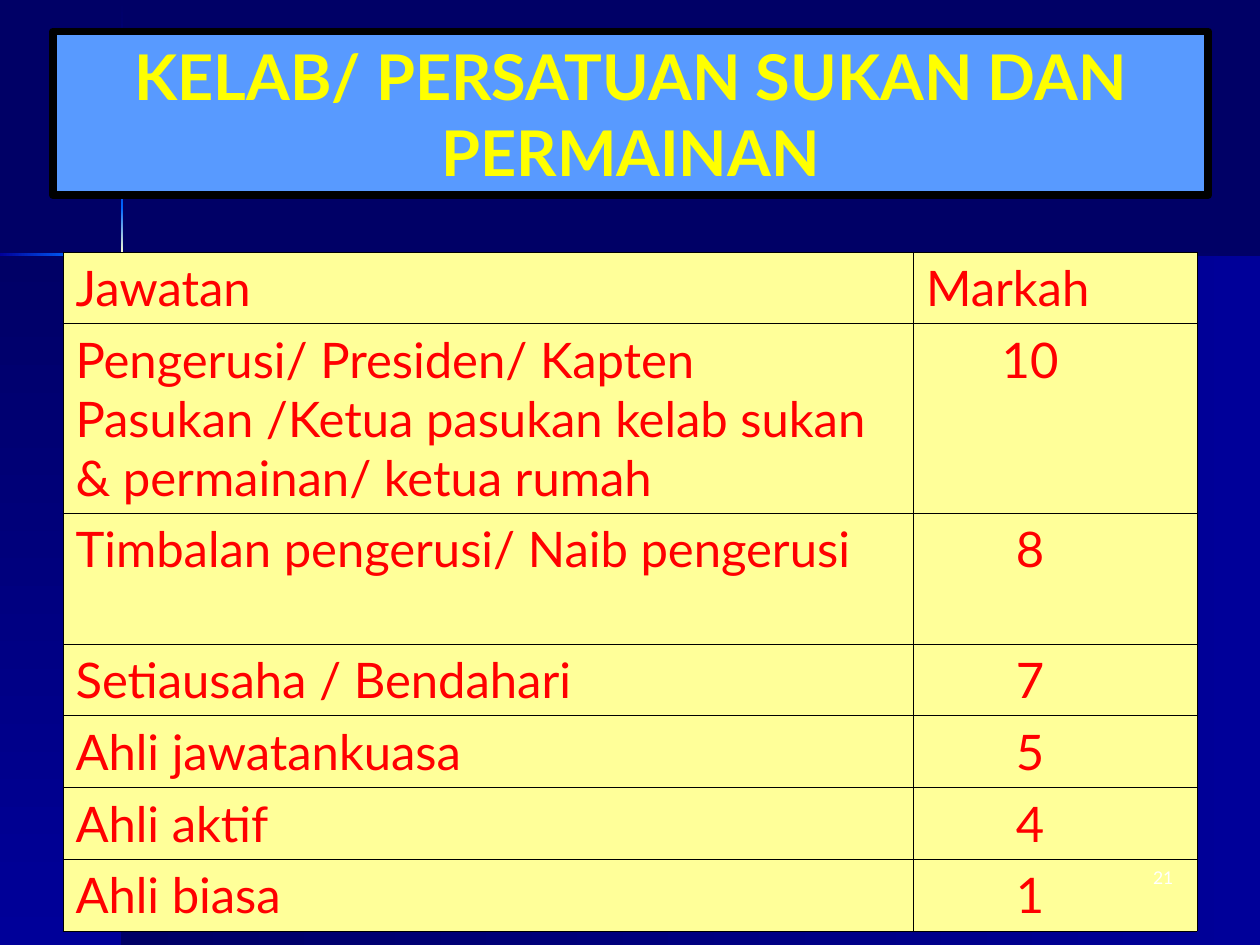
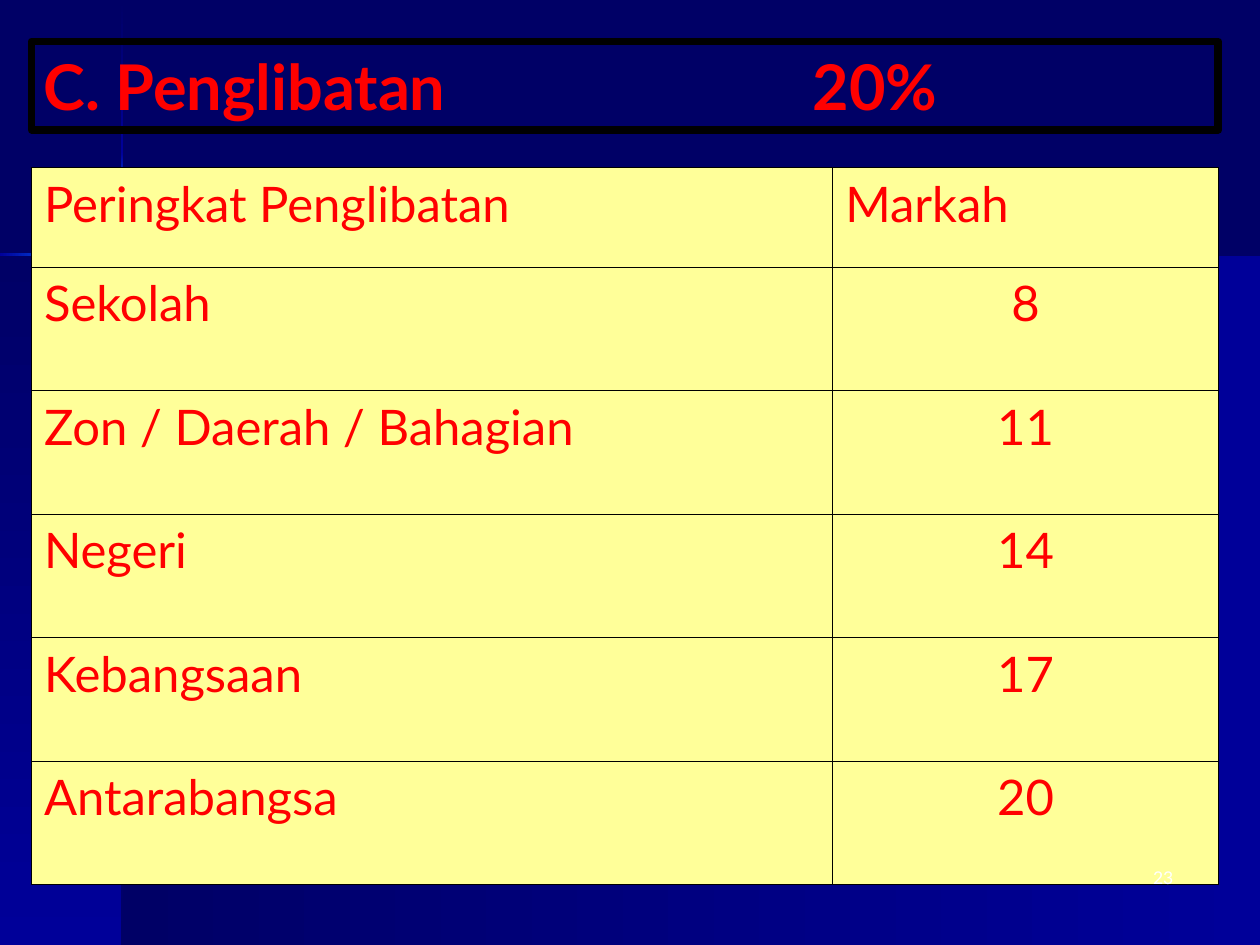
from lxml.etree import SubElement
from pptx import Presentation
from pptx.dml.color import RGBColor
from pptx.enum.shapes import MSO_SHAPE
from pptx.enum.text import MSO_ANCHOR, PP_ALIGN
from pptx.oxml.ns import qn
from pptx.util import Inches, Pt

COLORS = {
    "night": "000066", "navy": "000099", "azure": "0066FF", "glow": "FFFFCC",
    "banner": "589AFF", "yellow": "FFFF00", "red": "FF0000",
    "cell": "FFFF99", "black": "000000", "white": "FFFFFF",
}
FONT = "Lato"
WIDTH, HEIGHT = 10, 7.5
CROSS_X, CROSS_Y, BEAM = 0.96, 2.01, 0.02

# Each beam is a chain of stretches: end position and gradient colours.
VERTICAL_BEAM = [
    (1.21, ("night", "navy")), (1.65, ("navy", "azure")),
    (2.38, ("azure", "glow", "azure")), (2.82, ("azure", "navy")),
    (HEIGHT, ("navy", "night")),
]
HORIZONTAL_BEAM = [
    (0.6, ("navy", "azure")), (1.33, ("azure", "glow", "azure")),
    (1.77, ("azure", "navy")), (WIDTH, ("navy", "night")),
]

POSITION_MARKS = [
    ("Jawatan", "Markah"),
    ("Pengerusi/ Presiden/ Kapten Pasukan /Ketua pasukan kelab sukan "
     "& permainan/ ketua rumah", "10"),
    ("Timbalan pengerusi/ Naib pengerusi", "8"),
    ("Setiausaha / Bendahari", "7"),
    ("Ahli jawatankuasa", "5"),
    ("Ahli aktif", "4"),
    ("Ahli biasa", "1"),
]
LEVEL_MARKS = [
    ("Peringkat Penglibatan", "Markah"),
    ("Sekolah", "8"),
    ("Zon / Daerah / Bahagian", "11"),
    ("Negeri", "14"),
    ("Kebangsaan", "17"),
    ("Antarabangsa", "20"),
]


def color(name):
    return RGBColor.from_string(COLORS[name])


def style_text(para, size, color_name, align=PP_ALIGN.LEFT, bold=False):
    para.alignment = align
    para.font.name = FONT
    para.font.size = Pt(size)
    para.font.bold = bold
    para.font.color.rgb = color(color_name)


def add_rectangle(page, box):
    shape = page.shapes.add_shape(MSO_SHAPE.RECTANGLE, *map(Inches, box))
    shape.shadow.inherit = False
    return shape


def add_gradient(page, box, names, downward):
    """Draw an unlined rectangle shaded evenly through the named colours."""
    shape = add_rectangle(page, box)
    shape.line.fill.background()
    shape.fill.gradient()
    stops = shape.element.spPr.find(".//" + qn("a:gsLst"))
    stops.clear()
    for index, name in enumerate(names):
        position = 100000 * index // (len(names) - 1)
        stop = SubElement(stops, qn("a:gs"), pos=str(position))
        SubElement(stop, qn("a:srgbClr"), val=COLORS[name])
    shape.fill.gradient_angle = 270 if downward else 0


def add_backdrop(page):
    page.background.fill.solid()
    page.background.fill.fore_color.rgb = color("night")
    split, top = CROSS_X + BEAM / 2, CROSS_Y + BEAM / 2
    shades = ("night", "navy")
    add_gradient(page, (split, top, WIDTH - split, HEIGHT - top), shades, False)
    add_gradient(page, (0, top, split, HEIGHT - top), shades, True)
    for beam, downward in ((VERTICAL_BEAM, True), (HORIZONTAL_BEAM, False)):
        start = 0
        for end, names in beam:
            if downward:
                box = (CROSS_X, start, BEAM, end - start)
            else:
                box = (start, CROSS_Y, end - start, BEAM)
            add_gradient(page, box, names, downward)
            start = end


def add_title(page, box, text, color_name, align, fill=None, tab=None):
    shape = add_rectangle(page, box)
    shape.line.color.rgb = color("black")
    shape.line.width = Pt(4.5)
    if fill:
        shape.fill.solid()
        shape.fill.fore_color.rgb = color(fill)
    else:
        shape.fill.background()
    frame = shape.text_frame
    frame.word_wrap = True
    frame.vertical_anchor = MSO_ANCHOR.MIDDLE
    para = frame.paragraphs[0]
    para.text = text
    if tab:
        tabs = SubElement(para._p.get_or_add_pPr(), qn("a:tabLst"))
        SubElement(tabs, qn("a:tab"), pos=str(Inches(tab)), algn="l")
    style_text(para, 36, color_name, align, bold=True)


def add_borders(cell):
    properties = cell._tc.get_or_add_tcPr()
    for side in ("lnL", "lnR", "lnT", "lnB"):
        line = SubElement(properties, qn(f"a:{side}"), w=str(Pt(0.45)))
        fill = SubElement(line, qn("a:solidFill"))
        SubElement(fill, qn("a:srgbClr"), val=COLORS["black"])


def add_marks_table(page, left, top, columns, heights, rows, right_margin=0.1):
    """Draw the marks; right_margin shifts the centred marks to the left."""
    frame = page.shapes.add_table(
        len(rows), len(columns), Inches(left), Inches(top),
        Inches(sum(columns)), Inches(sum(heights)))
    table = frame.table
    table.first_row = table.horz_banding = False
    for column, width in zip(table.columns, columns):
        column.width = Inches(width)
    for r, (height, texts) in enumerate(zip(heights, rows)):
        table.rows[r].height = Inches(height)
        for c, text in enumerate(texts):
            cell = table.cell(r, c)
            add_borders(cell)
            cell.fill.solid()
            cell.fill.fore_color.rgb = color("cell")
            is_mark = r > 0 and c == 1
            if is_mark:
                cell.margin_right = Inches(right_margin)
            cell.text = text
            style_text(cell.text_frame.paragraphs[0], 28, "red",
                       PP_ALIGN.CENTER if is_mark else PP_ALIGN.LEFT)


def add_page_number(page, number):
    box = page.shapes.add_textbox(
        Inches(7.33), Inches(6.83), Inches(2.08), Inches(0.5))
    box.text_frame.word_wrap = True
    para = box.text_frame.paragraphs[0]
    para.text = str(number)
    style_text(para, 10, "white", PP_ALIGN.RIGHT)


def add_page(deck):
    page = deck.slides.add_slide(deck.slide_layouts[6])
    add_backdrop(page)
    return page


def build_positions(deck):
    page = add_page(deck)
    add_title(page, (0.42, 0.25, 9.17, 1.3),
              "KELAB/ PERSATUAN SUKAN DAN PERMAINAN",
              "yellow", PP_ALIGN.CENTER, fill="banner")
    add_marks_table(page, 0.5, 2, (6.75, 2.25), [0.57, 1.5, 1.04] + [0.57] * 4,
                    POSITION_MARKS, right_margin=0.5)
    add_page_number(page, 21)


def build_levels(deck):
    page = add_page(deck)
    add_title(page, (0.25, 0.33, 9.42, 0.7), "C. Penglibatan\t20%",
              "red", PP_ALIGN.LEFT, tab=6.1)
    add_marks_table(page, 0.25, 1.33, (6.36, 3.06), [0.79] + [0.98] * 5,
                    LEVEL_MARKS)
    add_page_number(page, 23)


def main():
    deck = Presentation()
    deck.slide_width, deck.slide_height = Inches(WIDTH), Inches(HEIGHT)
    build_positions(deck)
    build_levels(deck)
    deck.save("out.pptx")


if __name__ == "__main__":
    main()
